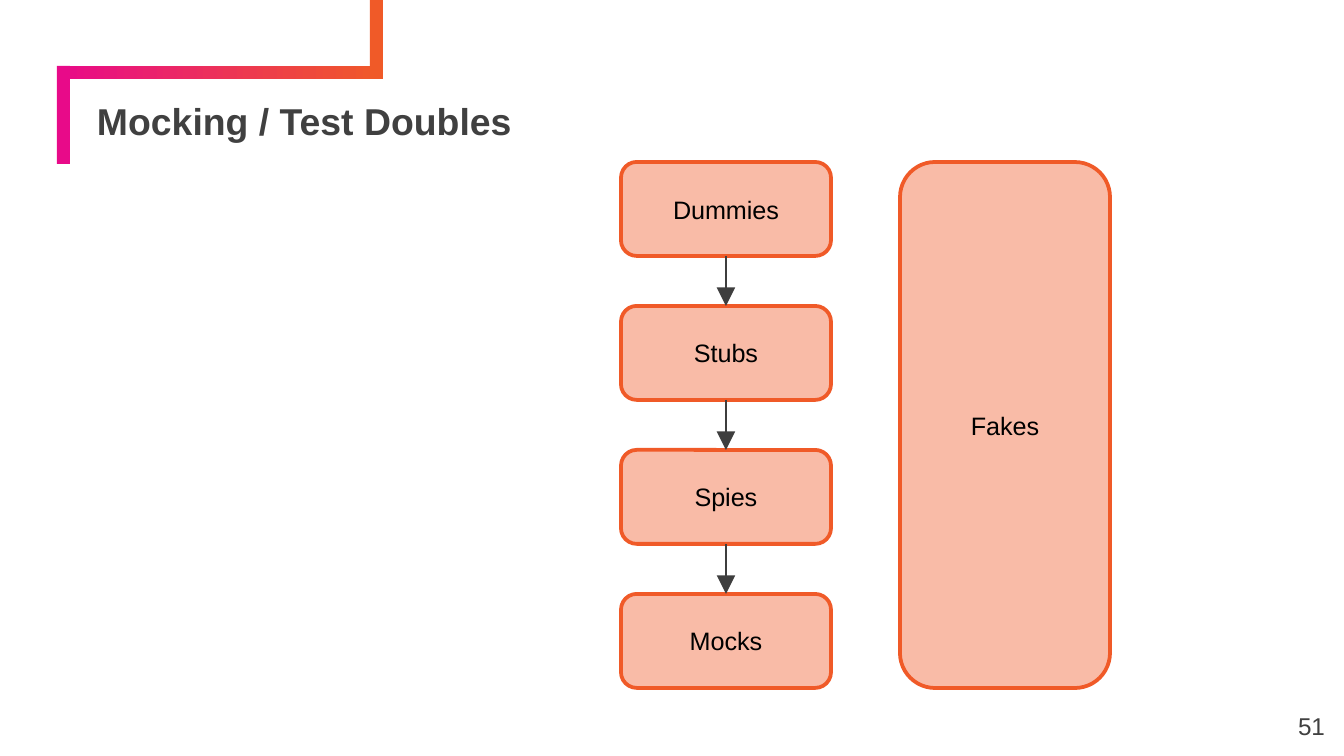
from lxml import etree
from pptx import Presentation, util as u
from pptx.dml.color import RGBColor
from pptx.enum import shapes, text
from pptx.oxml import ns

PX = 914400 / 134.4
ORANGE, PINK, PEACH = "F05A28", "E80A89", "F9BBA7"
GREY, DARK = "404040", "3E3E3E"
BOX_TOP, BOX_W, BOX_H, STEP = 162, 210, 94, 144
CHAIN_X, FAKES_X = 621, 900


def px(*values):
    return [u.Emu(round(v * PX)) for v in values]


def color(value):
    return RGBColor.from_string(value)


def write(sp, content, size, fill, bold=False, align=text.PP_ALIGN.LEFT,
          anchor=text.MSO_ANCHOR.TOP, inset=7, spacing=1.0):
    tf = sp.text_frame
    tf.word_wrap = True
    tf.auto_size = text.MSO_AUTO_SIZE.NONE
    tf.vertical_anchor = anchor
    tf.margin_left, tf.margin_top, tf.margin_right, tf.margin_bottom = px(*[inset] * 4)
    p = tf.paragraphs[0]
    p.alignment = align
    p.line_spacing = spacing
    r = p.add_run()
    r.text = content
    r.font.name = "Arial"
    r.font.size = u.Pt(size)
    r.font.bold = bold
    r.font.color.rgb = color(fill)


def add_bar(s, x, y, w, h, start, end=None):
    sp = s.shapes.add_shape(shapes.MSO_SHAPE.RECTANGLE, *px(x, y, w, h))
    sp.shadow.inherit = False
    sp.line.fill.background()
    if end:
        sp.fill.gradient()
        sp.fill.gradient_angle = 0
        for stop, value in zip(sp.fill.gradient_stops, (start, end)):
            stop.color.rgb = color(value)
    else:
        sp.fill.solid()
        sp.fill.fore_color.rgb = color(start)


def add_box(s, label, x, y, h):
    sp = s.shapes.add_shape(shapes.MSO_SHAPE.ROUNDED_RECTANGLE, *px(x, y, BOX_W, h))
    sp.shadow.inherit = False
    sp.adjustments[0] = 0.167
    sp.fill.solid()
    sp.fill.fore_color.rgb = color(PEACH)
    sp.line.color.rgb = color(ORANGE)
    sp.line.width = u.Pt(2)
    write(sp, label, 13.5, "000000", align=text.PP_ALIGN.CENTER,
          anchor=text.MSO_ANCHOR.MIDDLE, inset=5)


def add_arrow(s, x, top, bottom):
    line = s.shapes.add_connector(shapes.MSO_CONNECTOR.STRAIGHT, *px(x, top, x, bottom))
    line.line.color.rgb = color(DARK)
    line.line.width = u.Pt(0.75)
    etree.SubElement(line.line._get_or_add_ln(), ns.qn("a:tailEnd"),
                     type="triangle", w="lg", len="lg")
    etree.SubElement(line._element.spPr, ns.qn("a:effectLst"))


def add_title(s, content):
    title = s.shapes.title
    title.left, title.top, title.width, title.height = px(90, 105, 1214, 46)
    write(title, content, 20, GREY, bold=True, anchor=text.MSO_ANCHOR.BOTTOM, spacing=0.9)


def add_page_number(s, number):
    sp = s.shapes.add_textbox(*px(1258, 698, 80, 58))
    write(sp, number, 13, GREY, align=text.PP_ALIGN.RIGHT, inset=13)


def main():
    prs = Presentation()
    prs.slide_width, prs.slide_height = px(1344, 756)
    s = prs.slides.add_slide(prs.slide_layouts[5])

    add_bar(s, 57, 66, 326, 13, PINK, ORANGE)
    add_bar(s, 57, 66, 13, 98, PINK)
    add_bar(s, 370, 0, 13, 79, ORANGE)
    add_title(s, "Mocking / Test Doubles")
    add_page_number(s, "51")

    doubles = ["Dummies", "Stubs", "Spies", "Mocks"]
    for i, label in enumerate(doubles):
        y = BOX_TOP + i * STEP
        add_box(s, label, CHAIN_X, y, BOX_H)
        if i:
            add_arrow(s, CHAIN_X + BOX_W // 2, y - STEP + BOX_H, y)
    add_box(s, "Fakes", FAKES_X, BOX_TOP, (len(doubles) - 1) * STEP + BOX_H)

    prs.save("out.pptx")


if __name__ == "__main__":
    main()
